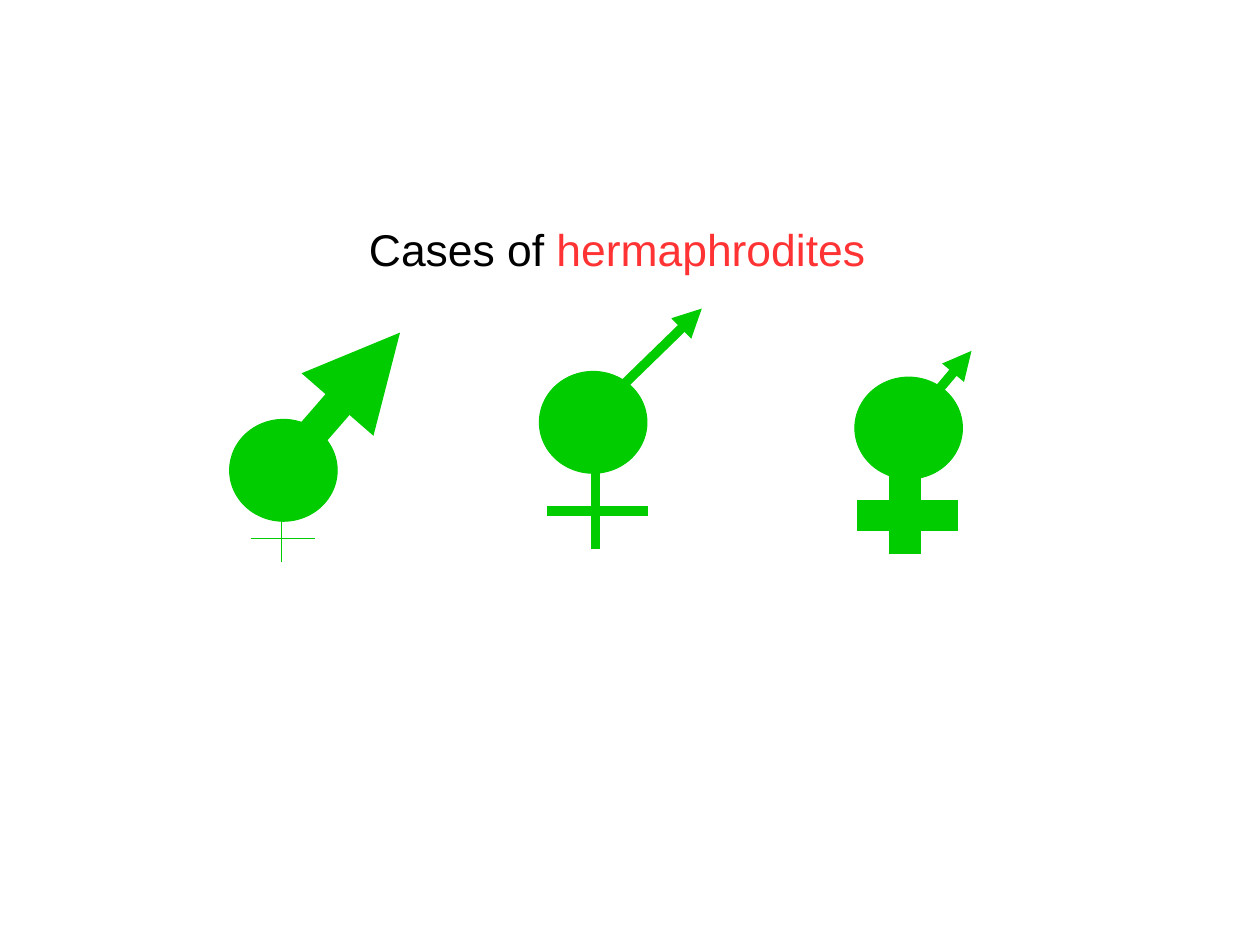
from lxml import etree
from pptx import Presentation
from pptx.dml.color import RGBColor
from pptx.enum.shapes import MSO_CONNECTOR, MSO_SHAPE
from pptx.enum.text import MSO_AUTO_SIZE
from pptx.oxml.ns import qn
from pptx.util import Cm, Pt

STRAIGHT = MSO_CONNECTOR.STRAIGHT
OVAL = MSO_SHAPE.OVAL
FIT_TEXT = MSO_AUTO_SIZE.SHAPE_TO_FIT_TEXT

THEME = {
    "font": "Arial",
    "title_size": Pt(28),
    "text": RGBColor(0x00, 0x00, 0x00),
    "accent": RGBColor(0xFF, 0x33, 0x33),
    "symbol": RGBColor(0x00, 0xCC, 0x00),
    "hairline": Pt(0.5),
    "medium": Pt(6),
    "heavy": Pt(20),
}

prs = Presentation()
prs.slide_width, prs.slide_height = Cm(28), Cm(21)
s = prs.slides.add_slide(prs.slide_layouts[6])

# Grid of square cells
COL = prs.slide_width / 110.24
ROW = prs.slide_height / 82.68


def grid(x, y):
    return round(x * COL), round(y * ROW)


def add_line(start, end, width, arrow=False):
    ln = s.shapes.add_connector(STRAIGHT, *grid(*start), *grid(*end))
    ln.line.color.rgb = THEME["symbol"]
    ln.line.width = width
    sp_pr = ln._element.spPr
    if arrow:
        etree.SubElement(sp_pr.find(qn("a:ln")), qn("a:tailEnd"), type="triangle")
    etree.SubElement(sp_pr, qn("a:effectLst"))


# Title
tb = s.shapes.add_textbox(*grid(31.3, 18.9), *grid(45.9, 5.3))
tf = tb.text_frame
tf.word_wrap = False
tf.auto_size = FIT_TEXT
p = tf.paragraphs[0]
for text, color in (("Cases of ", "text"), ("hermaphrodites", "accent")):
    r = p.add_run()
    r.text = text
    r.font.name = THEME["font"]
    r.font.size = THEME["title_size"]
    r.font.color.rgb = THEME[color]

# Symbols: circle corner, arrow tip, arrow weight,
# then cross weight, stem x, stem foot, bar y and bar half-width within the symbol
CIRCLE_W, CIRCLE_H = 9.4, 8.9
ARROW_X, ARROW_Y = 6.95, 1.55
STEM_TOP = 7.3
BAR_SHIFT = 0.2
SYMBOLS = [
    (47.2, 32.5, (61.4, 27.0), "medium", "medium", 4.9, 15.5, 12.2, 4.4),
    (20.1, 36.7, (35.0, 29.1), "heavy", "hairline", 4.5, 12.5, 10.4, 2.8),
    (74.8, 33.0, (85.0, 30.7), "medium", "heavy", 4.4, 15.5, 12.1, 4.4),
]
for x, y, tip, arrow_w, cross_w, stem_x, foot, bar_y, half in SYMBOLS:
    sp = s.shapes.add_shape(OVAL, *grid(x, y), *grid(CIRCLE_W, CIRCLE_H))
    sp.shadow.inherit = False
    sp.fill.solid()
    sp.fill.fore_color.rgb = THEME["symbol"]
    sp.line.color.rgb = THEME["symbol"]
    sp.line.width = Pt(0)

    add_line((x + ARROW_X, y + ARROW_Y), tip, THEME[arrow_w], arrow=True)
    stem, bar = x + stem_x, y + bar_y
    mid = stem + BAR_SHIFT
    add_line((stem, y + foot), (stem, y + STEM_TOP), THEME[cross_w])
    add_line((mid - half, bar), (mid + half, bar), THEME[cross_w])

prs.save("out.pptx")
